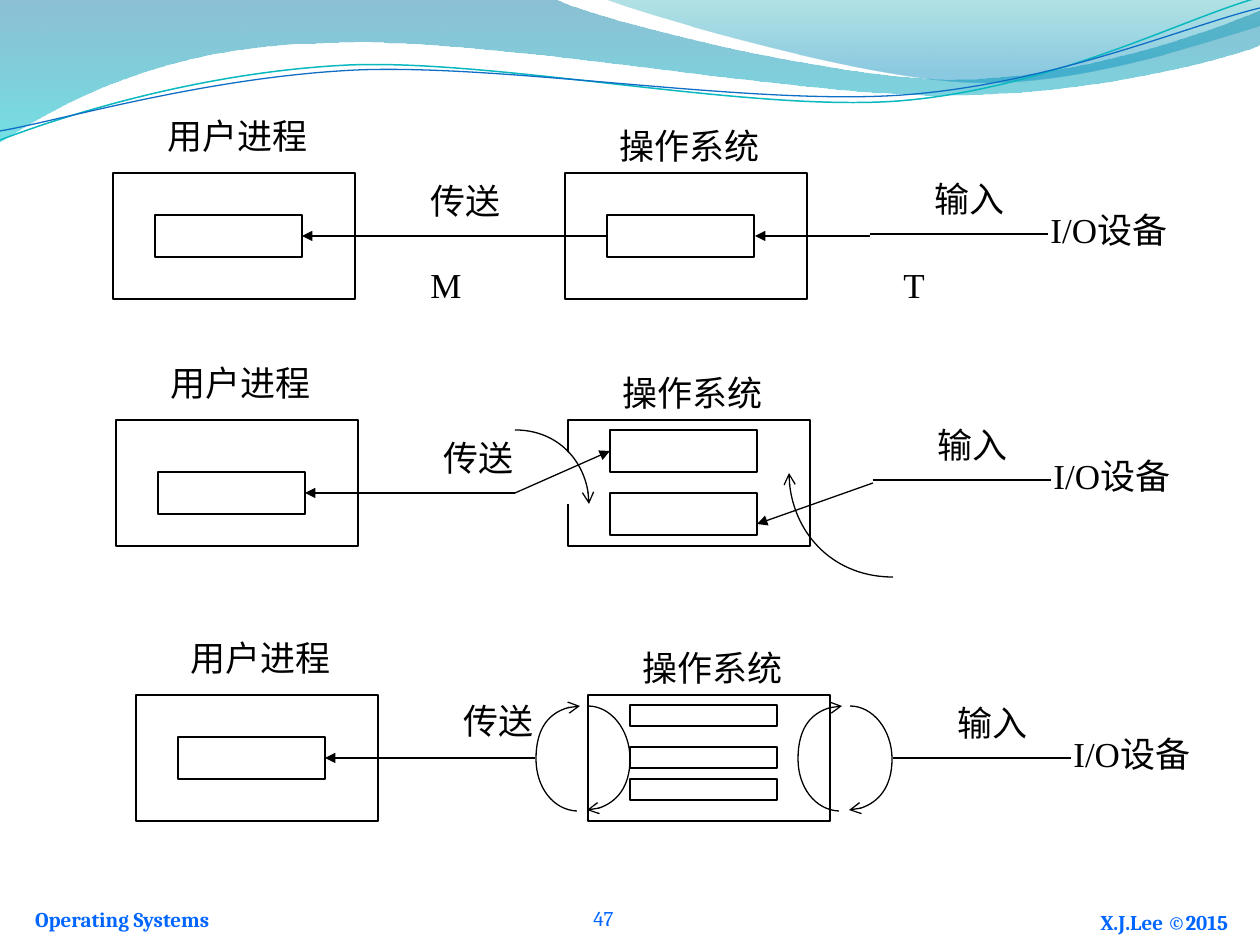
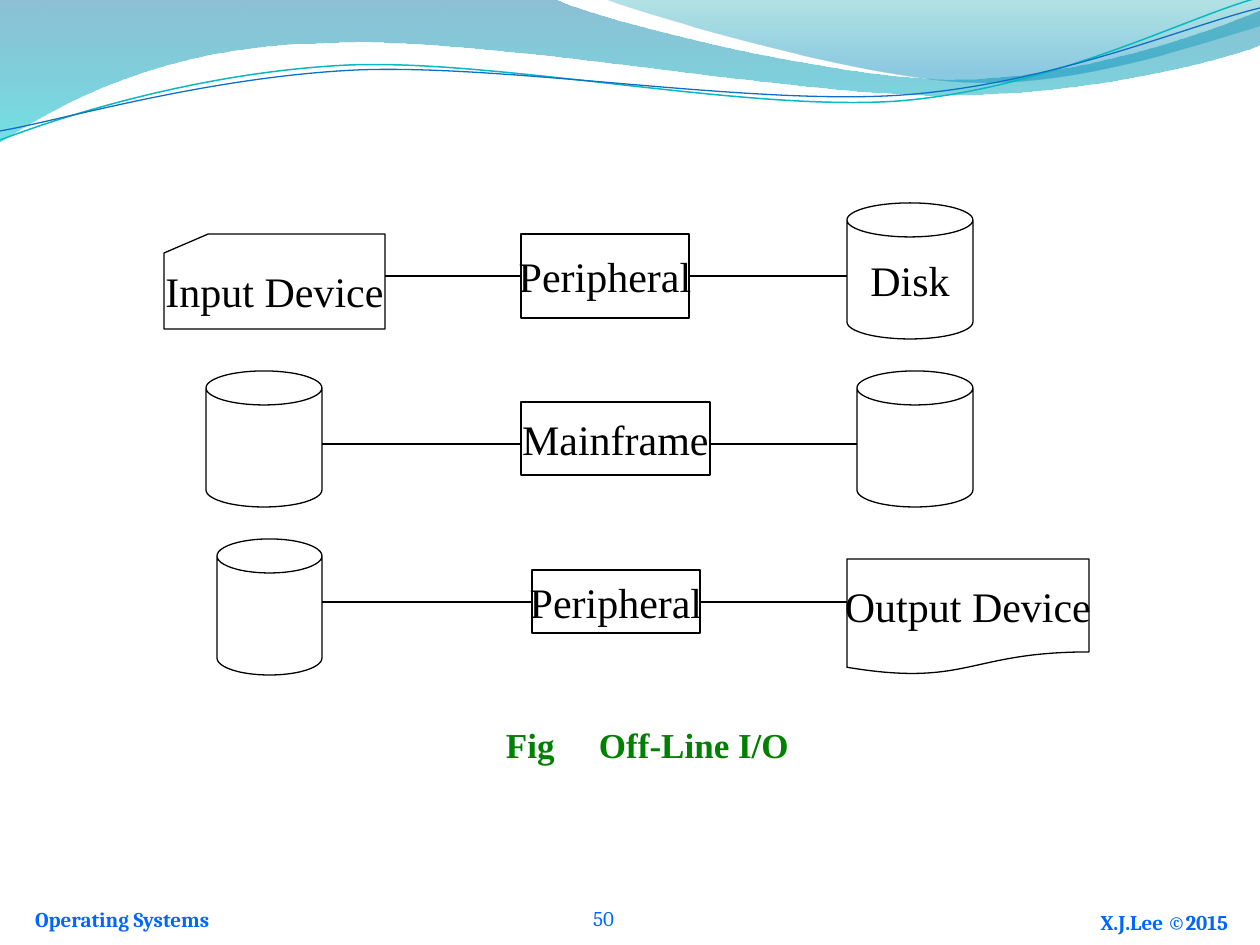
from copy import deepcopy

from lxml import etree
from pptx import Presentation
from pptx import util as u
from pptx.dml.color import RGBColor
from pptx.enum import shapes as kinds, text
from pptx.oxml.ns import qn

SCALE = 914400 / 126  # EMU in one px
COLORS = {
    "ink": "000000", "paper": "FFFFFF", "footer": "0066FF", "caption": "008000",
    "wave_teal": "0AB8BF", "wave_blue": "0F6FC6",
    "wide_top": "0074A1", "wide_end": "00C6CF",
    "right_top": "00A1A9", "right_end": "008BBF",
}
BODY_FONT, FOOTER_FONT = "Times New Roman", "Cambria"
MSO = kinds.MSO_SHAPE
LEFT, CENTER, RIGHT = text.PP_ALIGN.LEFT, text.PP_ALIGN.CENTER, text.PP_ALIGN.RIGHT

# Paths: a start point, then one point for a line or three for a curve
WIDE_BAND = [[(0, 0)], [(554, -1)],
             [(600, 21), (837, 79), (955, 79)], [(1075, 79), (1207, 33), (1260, 11)],
             [(1261, 45)],
             [(1239, 55), (1096, 96), (940, 95)], [(784, 95), (481, 35), (324, 43)],
             [(163, 45), (58, 105), (-1, 142)]]
RIGHT_BAND = [[(604, -1)], [(641, 14), (859, 78), (969, 82)],
              [(1079, 87), (1211, 40), (1260, 26)], [(1260, 0)]]
TEAL_WAVE = [[(0, 140)], [(60, 117), (199, 72), (349, 65)],
             [(498, 59), (747, 112), (898, 101)], [(1050, 89), (1182, 19), (1257, -2)]]
BLUE_WAVE = [[(0, 131)], [(59, 121), (207, 77), (357, 70)],
             [(508, 64), (752, 106), (903, 95)], [(1053, 84), (1186, 26), (1260, 8)]]
# Buffer rotation arrows, measured from the corner of their row
TAKE_TURN = [[(399, 10)], [(439, 10), (473, 43), (473, 84)]]
FILL_TURN = [[(777, 157)], [(719, 157), (673, 110), (673, 53)]]
LOOP_DOWN = [[(452, 11)], [(475, 11), (494, 35), (494, 64)],
             [(494, 92), (475, 115), (451, 115)]]
LOOP_UP = [[(441, 116)], [(417, 115), (400, 92), (400, 64)],
           [(400, 33), (418, 11), (444, 11)]]


def px(length):
    return u.Emu(round(length * SCALE))


def rgb(name):
    return RGBColor.from_string(COLORS[name])


def set_fill(shape, color):
    shape.fill.solid()
    shape.fill.fore_color.rgb = rgb(color)


def set_line(shape, color="ink", width=0.75, head=None):
    shape.line.color.rgb = rgb(color)
    shape.line.width = u.Pt(width)
    if head:
        ln = shape._element.spPr.find(qn("a:ln"))
        etree.SubElement(ln, qn("a:tailEnd"), type=head)


def format_text(frame, words, size, font, color, align=LEFT, bold=False):
    frame.text = words
    paragraph = frame.paragraphs[0]
    paragraph.alignment = align
    for run in paragraph.runs:
        run.font.size = u.Pt(size)
        run.font.name = font
        run.font.bold = bold
        run.font.color.rgb = rgb(color)


def add_block(slide, kind, x, y, w, h, words="", lid=None):
    block = slide.shapes.add_shape(kind, px(x), px(y), px(w), px(h))
    block.shadow.inherit = False
    set_fill(block, "paper")
    set_line(block)
    if lid:
        block.adjustments[0] = lid / w
    if words:
        block.text_frame.word_wrap = False
        block.text_frame.vertical_anchor = text.MSO_ANCHOR.MIDDLE
        format_text(block.text_frame, words, 24, BODY_FONT, "ink", CENTER)


def add_label(slide, words, x, y, w=220):
    label = slide.shapes.add_textbox(px(x), px(y), px(w), px(54))
    label.text_frame.word_wrap = True
    format_text(label.text_frame, words, 20, BODY_FONT, "ink")


def add_link(slide, x1, y1, x2, y2, head=None):
    link = slide.shapes.add_connector(kinds.MSO_CONNECTOR.STRAIGHT,
                                      px(x1), px(y1), px(x2), px(y2))
    set_line(link, head=head)
    etree.SubElement(link._element.spPr, qn("a:effectLst"))


def add_path(slide, path, x=0, y=0, closed=False):
    """Draw a freeform, joining the three points of each curve into a cubic."""
    points = [(px(x + a), px(y + b)) for segment in path for a, b in segment]
    builder = slide.shapes.build_freeform(*points[0])
    builder.add_line_segments(points[1:], close=closed)
    outline = builder.convert_to_shape()
    outline.shadow.inherit = False
    steps = iter(outline._element.findall(".//" + qn("a:lnTo")))
    for segment in path[1:]:
        step = next(steps)
        if len(segment) == 3:
            step.addprevious(curve := etree.Element(qn("a:cubicBezTo")))
            for corner in (step, next(steps), next(steps)):
                curve.append(corner[0])
                corner.getparent().remove(corner)
    return outline


def add_curve(slide, path, x=0, y=0, **style):
    curve = add_path(slide, path, x, y)
    curve.fill.background()
    set_line(curve, **style)


def add_wedge(slide, arc, corner, x, y):
    """An arrowed arc over a filled wedge that has no outline."""
    wedge = add_path(slide, arc + [[corner]], x, y, closed=True)
    set_fill(wedge, "paper")
    set_line(wedge, head="arrow")
    filled = wedge._element.find(".//" + qn("a:path"))
    stroked = deepcopy(filled)
    for closing in stroked[-2:]:
        stroked.remove(closing)
    stroked.set("fill", "none")
    filled.set("stroke", "0")
    filled.addprevious(stroked)


def add_band(slide, path, stops):
    band = add_path(slide, path, closed=True)
    band.line.fill.background()
    band.fill.gradient()
    band.fill.gradient_angle = 270
    for stop, (position, color, alpha) in zip(band.fill.gradient_stops, stops):
        stop.position = position
        stop.color.rgb = rgb(color)
        tint = stop._gs.find(qn("a:srgbClr"))
        etree.SubElement(tint, qn("a:alpha"), val=str(alpha * 1000))


def add_footer(slide, words, x, y, w, h, align, bold=True):
    footer = slide.shapes.add_textbox(px(x), px(y), px(w), px(h))
    frame = footer.text_frame
    frame.word_wrap = True
    frame.vertical_anchor = text.MSO_ANCHOR.BOTTOM
    frame.margin_left = frame.margin_right = frame.margin_top = frame.margin_bottom = 0
    format_text(frame, words, 12, FOOTER_FONT, "footer", align, bold)


def new_slide(deck, number):
    slide = deck.slides.add_slide(deck.slide_layouts[6])
    add_band(slide, WIDE_BAND, [(0, "wide_top", 45), (1, "wide_end", 55)])
    add_band(slide, RIGHT_BAND, [(0, "right_top", 30), (0.8, "right_end", 45)])
    add_curve(slide, TEAL_WAVE, color="wave_teal", width=0.85)
    add_curve(slide, BLUE_WAVE, color="wave_blue")
    add_footer(slide, "Operating Systems", 35, 901, 233, 31, LEFT)
    add_footer(slide, "X.J.Lee ©2015", 1033, 901, 195, 34, RIGHT)
    add_footer(slide, str(number), 551, 902, 105, 29, CENTER, bold=False)
    return slide


def add_buffering_row(slide, x, y, user_y, buffers, buffer_h, transfer, input_y, label_y):
    """Boxes and labels of one scheme; buffers lists their tops in the OS box."""
    for box_x in (0, 452):
        add_block(slide, MSO.RECTANGLE, x + box_x, y, 242, 126)
    add_block(slide, MSO.RECTANGLE, x + 42, y + user_y, 147, 42)
    for top in buffers:
        add_block(slide, MSO.RECTANGLE, x + 494, y + top, 147, buffer_h)
    add_label(slide, "用户进程", x + 42, y - 65)
    add_label(slide, "操作系统", x + 494, y - 55)
    add_label(slide, "传送", x + transfer[0], y + transfer[1], 130)
    add_label(slide, "输入", x + 809, y + label_y, 189)
    add_label(slide, "I/O设备", x + 925, y + label_y + 31, 158)
    add_link(slide, x + 757, y + input_y, x + 935, y + input_y)


def build_buffering(deck):
    slide = new_slide(deck, 47)

    # Single buffer
    x, y = 113, 173
    add_buffering_row(slide, x, y, 42, [42], 42, (305, 0), 61, -2)
    add_link(slide, x + 494, y + 63, x + 189, y + 63, "triangle")
    add_link(slide, x + 757, y + 63, x + 642, y + 63, "triangle")
    add_label(slide, "M", x + 305, y + 84, 95)
    add_label(slide, "T", x + 778, y + 84, 95)

    # Double buffer
    x, y = 116, 420
    add_buffering_row(slide, x, y, 52, [10, 73], 42, (315, 10), 60, -3)
    add_wedge(slide, TAKE_TURN, (399, 84), x, y)
    add_curve(slide, FILL_TURN, x, y, head="arrow")
    add_link(slide, x + 399, y + 73, x + 189, y + 73, "triangle")
    add_link(slide, x + 399, y + 73, x + 494, y + 31, "triangle")
    add_link(slide, x + 757, y + 63, x + 641, y + 104, "triangle")

    # Circular buffer
    x, y = 136, 695
    add_buffering_row(slide, x, y, 42, [10, 52, 84], 21, (315, -2), 63, 0)
    add_link(slide, x + 399, y + 63, x + 189, y + 63, "triangle")
    for side in (0, 262):
        for loop in (LOOP_DOWN, LOOP_UP):
            add_curve(slide, loop, x + side, y, head="arrow")


def build_offline_io(deck):
    slide = new_slide(deck, 50)
    lid = 34

    # Input device to disk
    add_block(slide, MSO.FLOWCHART_CARD, 164, 234, 221, 95, "Input Device")
    add_block(slide, MSO.RECTANGLE, 521, 234, 168, 84, "Peripheral")
    add_block(slide, MSO.CAN, 847, 203, 126, 136, "Disk", lid)

    # Disk to disk
    add_block(slide, MSO.CAN, 206, 371, 116, 136, lid=lid)
    add_block(slide, MSO.RECTANGLE, 521, 402, 189, 73, "Mainframe")
    add_block(slide, MSO.CAN, 857, 371, 116, 136, lid=lid)

    # Disk to output device
    add_block(slide, MSO.CAN, 217, 539, 105, 136, lid=lid)
    add_block(slide, MSO.RECTANGLE, 532, 570, 168, 63, "Peripheral")
    add_block(slide, MSO.FLOWCHART_DOCUMENT, 847, 559, 242, 116, "Output Device")

    # Links of each row: y, then both ends of the left and the right link
    for y, *ends in ((276, 385, 521, 689, 847),
                     (444, 322, 521, 710, 857),
                     (602, 322, 532, 700, 847)):
        for start, end in (ends[:2], ends[2:]):
            add_link(slide, start, y, end, y)

    # Caption: a tab parts the figure mark from its name
    caption = slide.shapes.add_textbox(px(343), px(717), px(609), px(54))
    frame = caption.text_frame
    frame.word_wrap = True
    frame.margin_left = px(163)
    format_text(frame, "Fig\tOff-Line I/O", 20, BODY_FONT, "caption", bold=True)
    tabs = etree.SubElement(frame.paragraphs[0]._p.get_or_add_pPr(), qn("a:tabLst"))
    etree.SubElement(tabs, qn("a:tab"), pos=str(px(93)), algn="l")


def main():
    deck = Presentation()
    deck.slide_width, deck.slide_height = px(1260), px(945)
    build_buffering(deck)
    build_offline_io(deck)
    deck.save("out.pptx")


if __name__ == "__main__":
    main()
